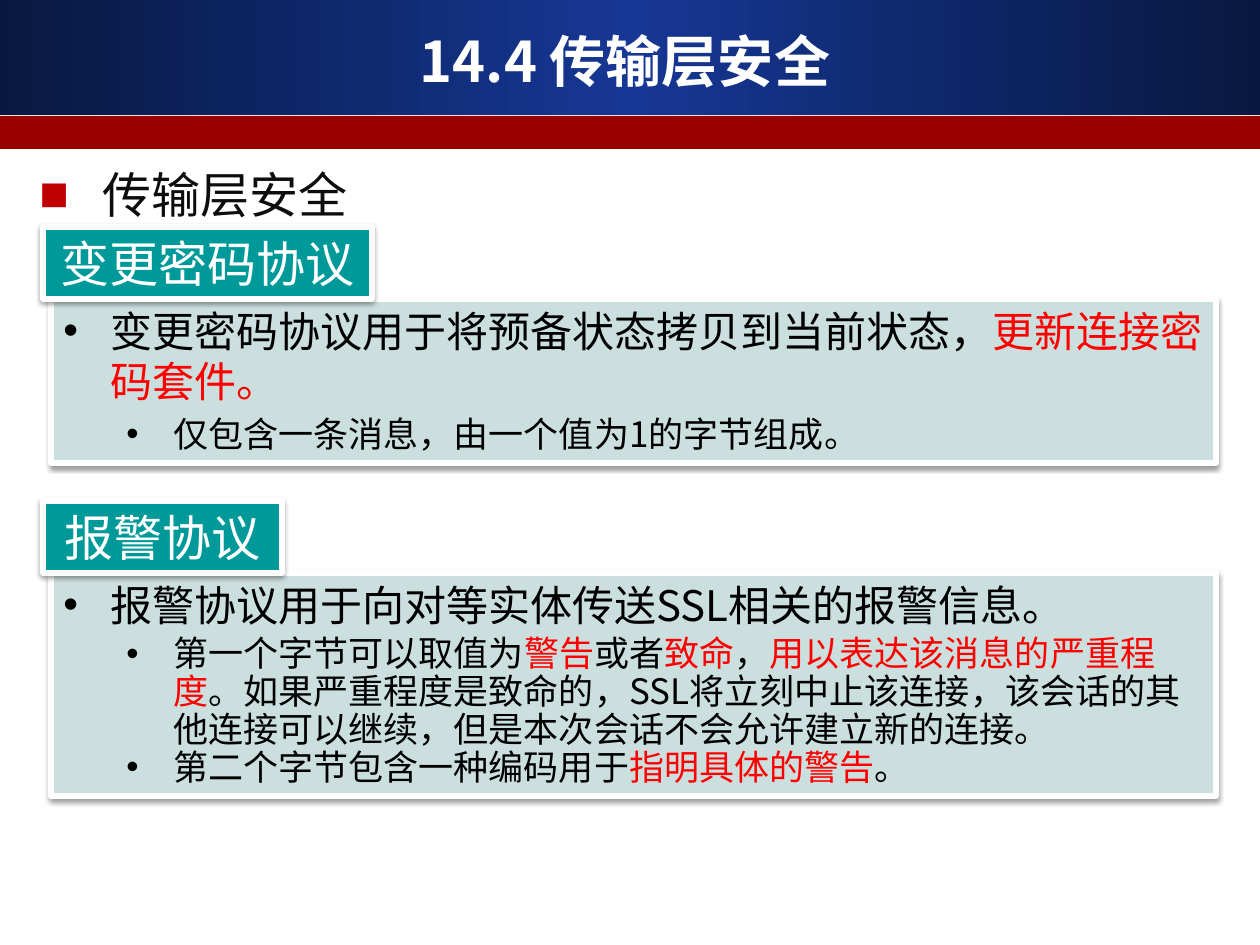
from lxml.etree import SubElement
from pptx import Presentation
from pptx.dml.color import RGBColor
from pptx.enum.shapes import MSO_SHAPE as Shape
from pptx.enum.text import MSO_ANCHOR as Anchor, MSO_AUTO_SIZE as AutoSize, PP_ALIGN as Align
from pptx.oxml.ns import qn
from pptx.util import Emu, Pt

SCALE = 914400 / 126
FONT = "Noto Sans CJK SC"
BLACK, RED, WHITE, TEAL, PALE = "000000", "FF0000", "FFFFFF", "009999", "CCDFDF"
NAVY, BLUE = "081840", "163794"
SINGLE, TIGHT = 1.0, 0.9

TITLE = "14.4 传输层安全"
HEADING = "传输层安全"
PROTOCOLS = [
    ("变更密码协议", 329, 227, 164, [
        (0, SINGLE, 4, [("变更密码协议用于将预备状态拷贝到当前状态，", BLACK), ("更新连接密码套件。", RED)]),
        (1, SINGLE, 4, [("仅包含一条消息，由一个值为1的字节组成。", BLACK)]),
    ]),
    ("报警协议", 239, 501, 223, [
        (0, SINGLE, 4, [("报警协议用于向对等实体传送SSL相关的报警信息。", BLACK)]),
        (1, TIGHT, 0, [
            ("第一个字节可以取值为", BLACK), ("警告", RED), ("或者", BLACK), ("致命", RED),
            ("，", BLACK), ("用以表达该消息的严重程度", RED),
            ("。如果严重程度是致命的，SSL将立刻中止该连接，该会话的其他连接可以继续，"
             "但是本次会话不会允许建立新的连接。", BLACK)]),
        (1, TIGHT, 0, [("第二个字节包含一种编码用于", BLACK), ("指明具体的警告", RED), ("。", BLACK)]),
    ]),
]
LABEL_LEFT, LABEL_HEIGHT, BODY_LEFT, BODY_WIDTH = 43, 72, 51, 1165
LEVELS = [(24, 47, 47), (20, 110, 47)]


def px(length):
    return Emu(round(length * SCALE))


def color(code):
    return RGBColor.from_string(code)


def add_box(slide, place, fill, line_width=0, shadow=False):
    box = slide.shapes.add_shape(Shape.RECTANGLE, *map(px, place))
    box.shadow.inherit = False
    box.fill.solid()
    box.fill.fore_color.rgb = color(fill)
    if line_width:
        box.line.color.rgb = color(WHITE)
        box.line.width = Pt(line_width)
    else:
        box.line.fill.background()
    if shadow:
        effects = box._element.spPr.find(qn("a:effectLst"))
        outer = SubElement(effects, qn("a:outerShdw"), blurRad=str(Pt(3.1)), dist=str(Pt(1.6)),
                           dir="5400000", algn="t", rotWithShape="0")
        black = SubElement(outer, qn("a:srgbClr"), val=BLACK)
        SubElement(black, qn("a:alpha"), val="38000")
    box.text_frame.word_wrap = True
    box.text_frame.vertical_anchor = Anchor.TOP
    return box


def write(paragraph, runs, size, align=Align.LEFT, spacing=SINGLE, after=0, bold=False):
    paragraph.alignment = align
    paragraph.line_spacing = spacing
    paragraph.space_after = Pt(after)
    paragraph._p.get_or_add_pPr().set("hangingPunct", "0")
    for words, code in runs:
        run = paragraph.add_run()
        run.text = words
        run.font.size, run.font.bold, run.font.name = Pt(size), bold, FONT
        run.font.color.rgb = color(code)
        SubElement(run._r.rPr, qn("a:ea"), typeface=FONT)


def add_bullet(paragraph, mark, margin, hang, code=None):
    props = paragraph._p.get_or_add_pPr()
    props.set("marL", str(px(margin)))
    props.set("indent", str(-px(hang)))
    if code:
        SubElement(SubElement(props, qn("a:buClr")), qn("a:srgbClr"), val=code)
    SubElement(props, qn("a:buFont"), typeface="Arial")
    SubElement(props, qn("a:buChar"), char=mark)


def add_header(slide):
    banner = add_box(slide, (0, 0, 1260, 115), BLUE)
    banner.fill.gradient()
    banner.fill.gradient_angle = 0
    stops = banner.fill._fill._gradFill.gsLst
    for stop in list(stops):
        stops.remove(stop)
    for position, code in [(0, NAVY), (50, BLUE), (100, NAVY)]:
        stop = SubElement(stops, qn("a:gs"), pos=str(position * 1000))
        SubElement(stop, qn("a:srgbClr"), val=code)
    add_box(slide, (0, 116, 1260, 33), "990000")
    title = slide.shapes.add_textbox(*map(px, (42, 21, 1166, 78))).text_frame
    title.word_wrap = True
    title.vertical_anchor = Anchor.MIDDLE
    write(title.paragraphs[0], [(TITLE, WHITE)], 32, Align.CENTER, bold=True)


def add_protocol(slide, name, label_width, top, body_height, points):
    body_place = BODY_LEFT, top + LABEL_HEIGHT, BODY_WIDTH, body_height
    body = add_box(slide, body_place, PALE, 3, True).text_frame
    for index, (level, spacing, after, runs) in enumerate(points):
        paragraph = body.add_paragraph() if index else body.paragraphs[0]
        size, margin, hang = LEVELS[level]
        paragraph.level = level
        write(paragraph, runs, size, spacing=spacing, after=after)
        add_bullet(paragraph, "•", margin, hang)
    body.auto_size = AutoSize.SHAPE_TO_FIT_TEXT
    label = add_box(slide, (LABEL_LEFT, top, label_width, LABEL_HEIGHT), TEAL, 3, True).text_frame
    write(label.paragraphs[0], [(name, WHITE)], 28, Align.CENTER)


def main():
    """Build the transport layer security slide."""
    deck = Presentation()
    deck.slide_width, deck.slide_height = px(1260), px(945)
    slide = deck.slides.add_slide(deck.slide_layouts[6])
    add_header(slide)
    heading = add_box(slide, (27, 158, 1137, 72), WHITE, 2).text_frame.paragraphs[0]
    write(heading, [(HEADING, "0D0D0D")], 28)
    add_bullet(heading, "■", 63, 63, "C00000")
    for protocol in PROTOCOLS:
        add_protocol(slide, *protocol)
    deck.save("out.pptx")


if __name__ == "__main__":
    main()
